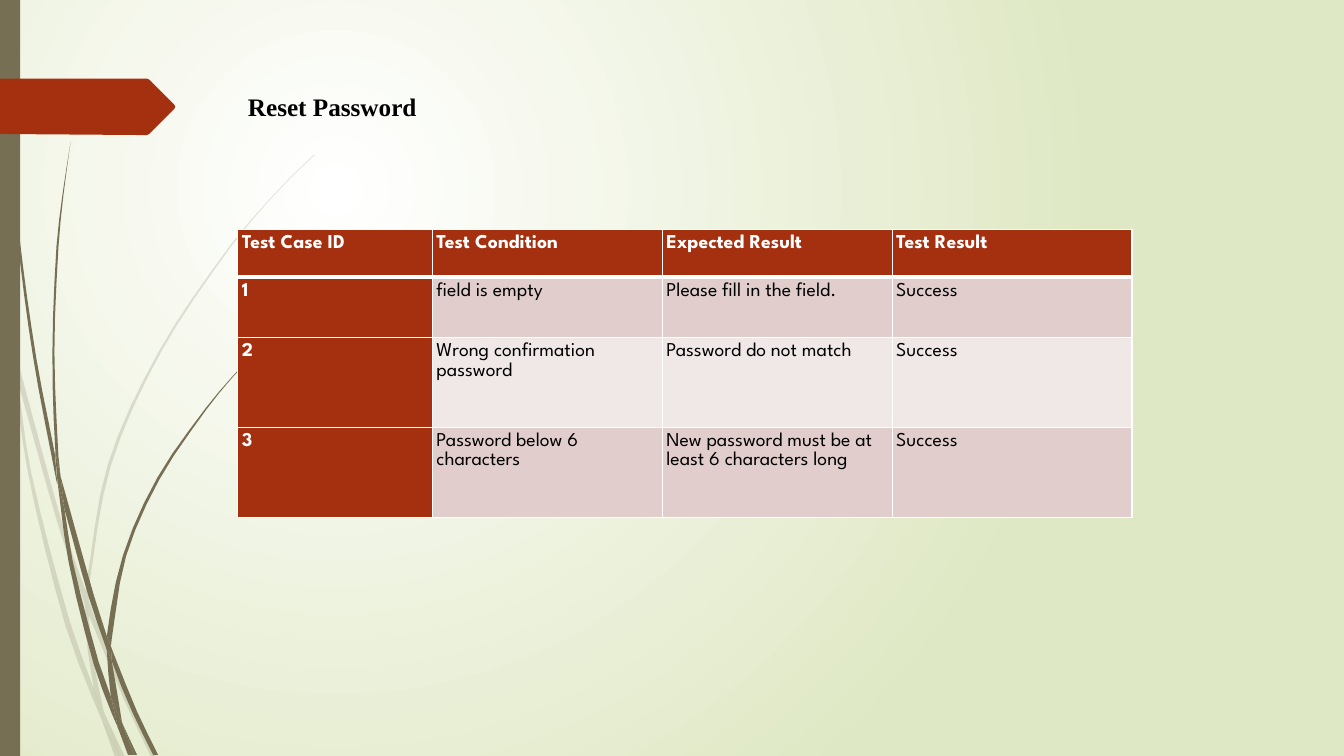
from dataclasses import dataclass
from math import dist

from lxml import etree
from pptx import Presentation
from pptx.dml.color import RGBColor
from pptx.enum import shapes, text
from pptx.oxml import ns
from pptx.util import Pt

Point = tuple[float, float]
UNIT = 0.72
STEP_LENGTH = 40
OLIVE, RUST, WHITE, BLACK = "766F54", "A53010", "FFFFFF", "000000"
BANDS = ("F0E8E7", "E1CDCC")


@dataclass
class Blade:
    out: list[Point]
    back: list[Point]


@dataclass
class Tuft:
    blades: list[Blade]
    opacity: int


FAINT_TUFT = Tuft([
    Blade([(11, 350), (9, 322), (0, 282)], [(0, 299), (10, 344), (11, 350)]),
    Blade([(17, 376), (58, 522), (84, 599)], [(85, 586), (62, 520), (14, 345)]),
    Blade([(88, 610), (123, 694), (150, 751)],
          [(155, 751), (127, 692), (92, 607), (88, 596)]),
    Blade([(105, 711), (119, 751)], [(124, 751), (105, 711)]),
    Blade([(11, 350), (28, 470), (65, 621), (92, 693), (101, 714)],
          [(99, 707), (93, 683), (70, 619), (31, 469), (17, 376), (11, 350)]),
    Blade([(84, 599), (87, 646), (93, 683), (96, 692), (105, 711)],
          [(103, 706), (91, 646), (88, 610), (84, 599)]),
    Blade([(88, 596), (88, 584), (110, 462), (160, 349), (229, 245),
           (268, 198), (290, 175), (312, 154)],
          [(312, 153), (289, 175), (268, 197), (228, 244), (158, 348),
           (107, 461), (85, 584), (85, 586)]),
    Blade([(101, 714), (114, 751)], [(119, 751), (101, 714)]),
    Blade([(88, 610), (88, 596)], [(85, 586), (84, 599)]),
    Blade([(93, 683), (99, 707), (101, 714), (119, 751)],
          [(119, 751), (105, 711), (96, 692), (93, 683)]),
], 20)

SOLID_TUFT = Tuft([
    Blade([(3, 0), (4, 48), (7, 110), (17, 233), (33, 355), (56, 477), (57, 481)],
          [(55, 457), (55, 453), (36, 355), (19, 232), (8, 109), (5, 48), (4, 0)]),
    Blade([(64, 505), (88, 592), (106, 645)],
          [(106, 633), (106, 631), (93, 590), (60, 472)]),
    Blade([(110, 641), (111, 656), (132, 708), (152, 749)],
          [(157, 749), (136, 706), (113, 649), (110, 641)]),
    Blade([(57, 477), (68, 557), (93, 659), (111, 708), (117, 722)],
          [(116, 717), (110, 691), (98, 657), (72, 556), (64, 505), (57, 477)]),
    Blade([(60, 472), (58, 453), (54, 349), (58, 245), (63, 193), (70, 141)],
          [(70, 141), (62, 193), (56, 245), (52, 349), (55, 449), (60, 472)]),
    Blade([(122, 719), (133, 749)], [(136, 749), (122, 719)]),
    Blade([(55, 453), (57, 477), (64, 505)], [(60, 472), (55, 449)]),
    Blade([(110, 641), (111, 633), (125, 552), (158, 476), (205, 406),
           (231, 374), (245, 359), (261, 344)],
          [(260, 344), (245, 358), (231, 373), (204, 405), (156, 474),
           (122, 551), (106, 631), (110, 641)]),
    Blade([(117, 722), (127, 749)], [(131, 749), (117, 722)]),
    Blade([(106, 645), (110, 691), (116, 706), (122, 719)],
          [(121, 716), (111, 656), (109, 651), (106, 645)]),
    Blade([(106, 645), (109, 651), (111, 656)], [(110, 641), (106, 631)]),
    Blade([(110, 691), (116, 717), (117, 722), (130, 749)],
          [(133, 749), (122, 719), (116, 706), (110, 691)]),
], 100)

ARROW = [(0, 78), (146, 78), (148, 79), (173, 104), (174, 106), (173, 108),
         (148, 133), (146, 134), (136, 134), (0, 133)]

COLUMNS = (139, 164.2, 164.2, 171.4)
ROWS = (33.8, 43.2, 64.1, 64.1)
TESTS = (
    ("Test Case ID", "Test Condition", "Expected Result", "Test Result"),
    ("1", "field is empty", "Please fill in the field.", "Success"),
    ("2", "Wrong confirmation password", "Password do not match", "Success"),
    ("3", "Password below 6 characters",
     "New password must be at least 6 characters long", "Success"),
)


def rgb(color: str) -> RGBColor:
    return RGBColor.from_string(color)


def paint(sp, color: str, opacity: int = 100) -> None:
    sp.shadow.inherit = False
    sp.fill.solid()
    sp.fill.fore_color.rgb = rgb(color)
    sp.line.fill.background()
    if opacity < 100:
        clr = sp._element.spPr.find(".//" + ns.qn("a:srgbClr"))
        etree.SubElement(clr, ns.qn("a:alpha"), val=str(opacity * 1000))


def smooth(pts: list[Point]) -> list[Point]:
    t = [0.0]
    for a, b in zip(pts, pts[1:]):
        t.append(t[-1] + dist(a, b))
    slopes = []
    for i in range(len(pts)):
        lo, hi = max(i - 1, 0), min(i + 1, len(pts) - 1)
        slopes.append([(pts[hi][k] - pts[lo][k]) / (t[hi] - t[lo]) for k in (0, 1)])
    curve = [pts[0]]
    for i in range(len(pts) - 1):
        h = t[i + 1] - t[i]
        steps = 1 + int(h // STEP_LENGTH)
        for n in range(1, steps + 1):
            f = n / steps
            rise = f * f * (3 - 2 * f)
            x, y = (pts[i][k] * (1 - rise) + pts[i + 1][k] * rise
                    + h * f * (1 - f) * ((1 - f) * slopes[i][k] - f * slopes[i + 1][k])
                    for k in (0, 1))
            curve.append((x, y))
    return curve


def add_outline(tree, pts: list[Point], color: str, opacity: int = 100) -> None:
    emu = [(Pt(x * UNIT), Pt(y * UNIT)) for x, y in pts]
    fb = tree.build_freeform(*emu[0])
    fb.add_line_segments(emu[1:], close=True)
    paint(fb.convert_to_shape(), color, opacity)


def add_tuft(s, tuft: Tuft) -> None:
    grp = s.shapes.add_group_shape()
    for blade in tuft.blades:
        add_outline(grp.shapes, smooth(blade.out) + smooth(blade.back),
                    OLIVE, tuft.opacity)


def set_background(s) -> None:
    fill = s.background.fill
    fill.gradient()
    for stop, color, pos in zip(fill.gradient_stops, (WHITE, "DFE8C4"), (0, 1)):
        stop.color.rgb = rgb(color)
        stop.position = pos
    lin = s._element.find(".//" + ns.qn("a:lin"))
    circle = etree.Element(ns.qn("a:path"), path="circle")
    etree.SubElement(circle, ns.qn("a:fillToRect"),
                     l="50000", t="50000", r="100000", b="100000")
    lin.getparent().replace(lin, circle)


def format_run(r, font: str, size: float, color: str, bold: bool) -> None:
    r.font.name, r.font.size, r.font.bold = font, Pt(size), bold
    r.font.color.rgb = rgb(color)


def add_borders(cell, bottom: float, top: float) -> None:
    tcPr = cell._tc.get_or_add_tcPr()
    for i, (side, width) in enumerate(zip("LRTB", (1, 1, top, bottom))):
        ln = etree.Element(ns.qn(f"a:ln{side}"), w=str(Pt(width)))
        solid = etree.SubElement(ln, ns.qn("a:solidFill"))
        etree.SubElement(solid, ns.qn("a:srgbClr"), val=WHITE)
        tcPr.insert(i, ln)


def add_tests(s) -> None:
    tbl = s.shapes.add_table(len(ROWS), len(COLUMNS), Pt(169.9), Pt(164.2),
                             Pt(sum(COLUMNS)), Pt(sum(ROWS))).table
    tbl.first_col, tbl.horz_banding = True, False
    for col, width in zip(tbl.columns, COLUMNS):
        col.width = Pt(width)
    for i, (row, height) in enumerate(zip(tbl.rows, ROWS)):
        row.height = Pt(height)
        for j, cell in enumerate(row.cells):
            head = i == 0 or j == 0
            cell.fill.solid()
            cell.fill.fore_color.rgb = rgb(RUST if head else BANDS[i % 2])
            cell.margin_left = cell.margin_top = Pt(2.9)
            cell.margin_right, cell.margin_bottom = Pt(5), Pt(0)
            p = cell.text_frame.paragraphs[0]
            p.text = TESTS[i][j]
            p.line_spacing, p.space_after = 1.07, Pt(15.7)
            format_run(p.runs[0], "League Spartan", 14, WHITE if head else BLACK, head)
            add_borders(cell, 3 if i == 0 else 1, 3 if i == 1 else 1)


def add_title(s) -> None:
    sp = s.shapes.title
    sp.left, sp.top, sp.width, sp.height = Pt(169.9), Pt(61.9), Pt(480.2), Pt(29)
    tf = sp.text_frame
    tf.text = "Reset Password"
    tf.word_wrap, tf.auto_size = True, text.MSO_AUTO_SIZE.SHAPE_TO_FIT_TEXT
    tf.vertical_anchor = text.MSO_ANCHOR.TOP
    p = tf.paragraphs[0]
    p.alignment = text.PP_ALIGN.LEFT
    format_run(p.runs[0], "Times New Roman", 18, BLACK, True)


def main() -> None:
    prs = Presentation()
    prs.slide_width, prs.slide_height = Pt(960), Pt(540)
    s = prs.slides.add_slide(prs.slide_layouts[5])
    set_background(s)
    add_tuft(s, FAINT_TUFT)
    add_tuft(s, SOLID_TUFT)
    bar = s.shapes.add_shape(shapes.MSO_SHAPE.RECTANGLE, Pt(0), Pt(0), Pt(14.4), Pt(540))
    paint(bar, OLIVE)
    add_outline(s.shapes, ARROW, RUST)
    add_tests(s)
    add_title(s)
    prs.save("out.pptx")


if __name__ == "__main__":
    main()
